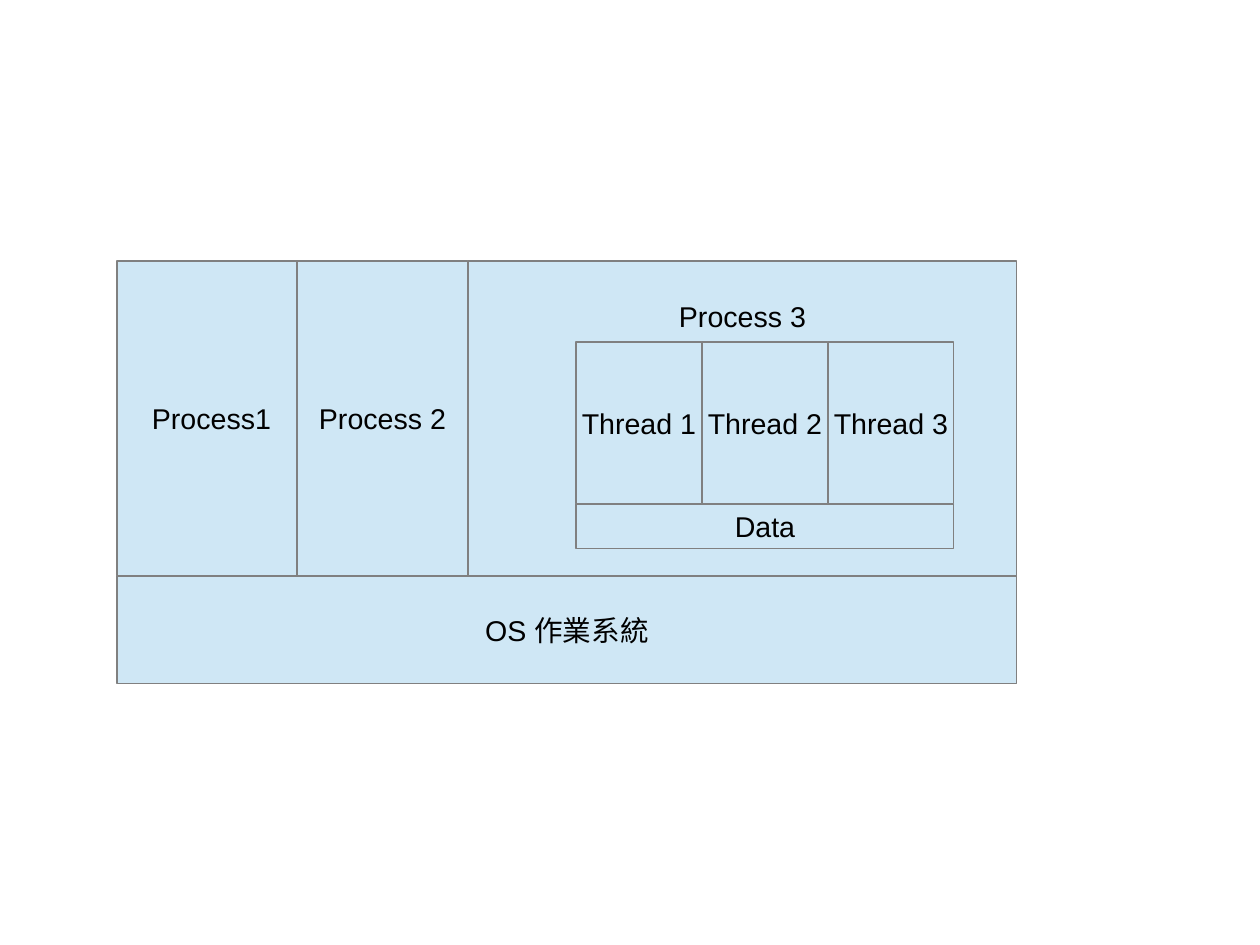
import pptx
import pptx.dml.color
import pptx.enum.shapes
import pptx.enum.text
import pptx.util

Inches = pptx.util.Inches
Anchor = pptx.enum.text.MSO_ANCHOR

PALE_BLUE = pptx.dml.color.RGBColor(0xCF, 0xE7, 0xF5)
GREY = pptx.dml.color.RGBColor(0x80, 0x80, 0x80)
BLACK = pptx.dml.color.RGBColor(0, 0, 0)

FRAME_FORMAT = {
    "word_wrap": False,
    "margin_left": Inches(0.1),
    "margin_right": Inches(0.1),
    "margin_top": Inches(0.05),
    "margin_bottom": Inches(0.05),
    "vertical_anchor": Anchor.MIDDLE,
}
TITLE_FORMAT = {"vertical_anchor": Anchor.TOP, "margin_top": Inches(0.33)}
FONT_FORMAT = {"name": "Arial", "size": pptx.util.Pt(18)}

CM_PER_INCH = 2.54
PAGE_WIDTH, PAGE_HEIGHT = 28, 21
SYSTEM_LEFT, SYSTEM_WIDTH, SYSTEM_HEIGHT = 2.6, 20, 2.4
PROCESS_TOP, PROCESS_HEIGHT = 5.8, 7
THREAD_LEFT, THREAD_TOP = 12.8, 7.6
THREAD_WIDTH, THREAD_HEIGHT = 2.8, 3.6
DATA_HEIGHT = 1
THREADS = ("Thread 1", "Thread 2", "Thread 3")


def grid(centimetres):
    """Turn a length on the centimetre grid into a slide length."""
    return Inches(centimetres / CM_PER_INCH)


def apply_format(target, values):
    """Set every attribute in values on target."""
    for attribute, value in values.items():
        setattr(target, attribute, value)


def add_block(slide, label, left, top, width, height, frame_format=None):
    """Draw a labelled block placed on the centimetre grid."""
    block = slide.shapes.add_shape(
        pptx.enum.shapes.MSO_SHAPE.RECTANGLE,
        grid(left), grid(top), grid(width), grid(height),
    )
    block.shadow.inherit = False
    block.fill.solid()
    block.fill.fore_color.rgb = PALE_BLUE
    block.line.color.rgb = GREY
    block.line.width = pptx.util.Pt(0)
    apply_format(block.text_frame, {**FRAME_FORMAT, **(frame_format or {})})
    paragraph = block.text_frame.paragraphs[0]
    paragraph.alignment = pptx.enum.text.PP_ALIGN.CENTER
    caption = paragraph.add_run()
    caption.text = label
    apply_format(caption.font, FONT_FORMAT)
    caption.font.color.rgb = BLACK


def add_process(slide, label, left, width, frame_format=None):
    """Draw a process block standing on the operating system."""
    add_block(slide, label, left, PROCESS_TOP, width, PROCESS_HEIGHT, frame_format)


def add_threads(slide):
    """Draw the shared data block and the row of threads above it."""
    add_block(slide, "Data", THREAD_LEFT, THREAD_TOP + THREAD_HEIGHT,
              len(THREADS) * THREAD_WIDTH, DATA_HEIGHT)
    for index, label in enumerate(THREADS):
        left = THREAD_LEFT + index * THREAD_WIDTH
        add_block(slide, label, left, THREAD_TOP, THREAD_WIDTH, THREAD_HEIGHT)


def main():
    """Build the slide of processes and threads and save it."""
    deck = pptx.Presentation()
    deck.slide_width = grid(PAGE_WIDTH)
    deck.slide_height = grid(PAGE_HEIGHT)
    slide = deck.slides.add_slide(deck.slide_layouts[6])
    add_process(slide, "Process1", SYSTEM_LEFT, 4.2)
    add_process(slide, "Process 2", 6.6, 3.8)
    add_process(slide, "Process 3", 10.4, 12.2, TITLE_FORMAT)
    add_block(slide, "OS 作業系統", SYSTEM_LEFT, PROCESS_TOP + PROCESS_HEIGHT,
              SYSTEM_WIDTH, SYSTEM_HEIGHT)
    add_threads(slide)
    deck.save("out.pptx")


if __name__ == "__main__":
    main()
